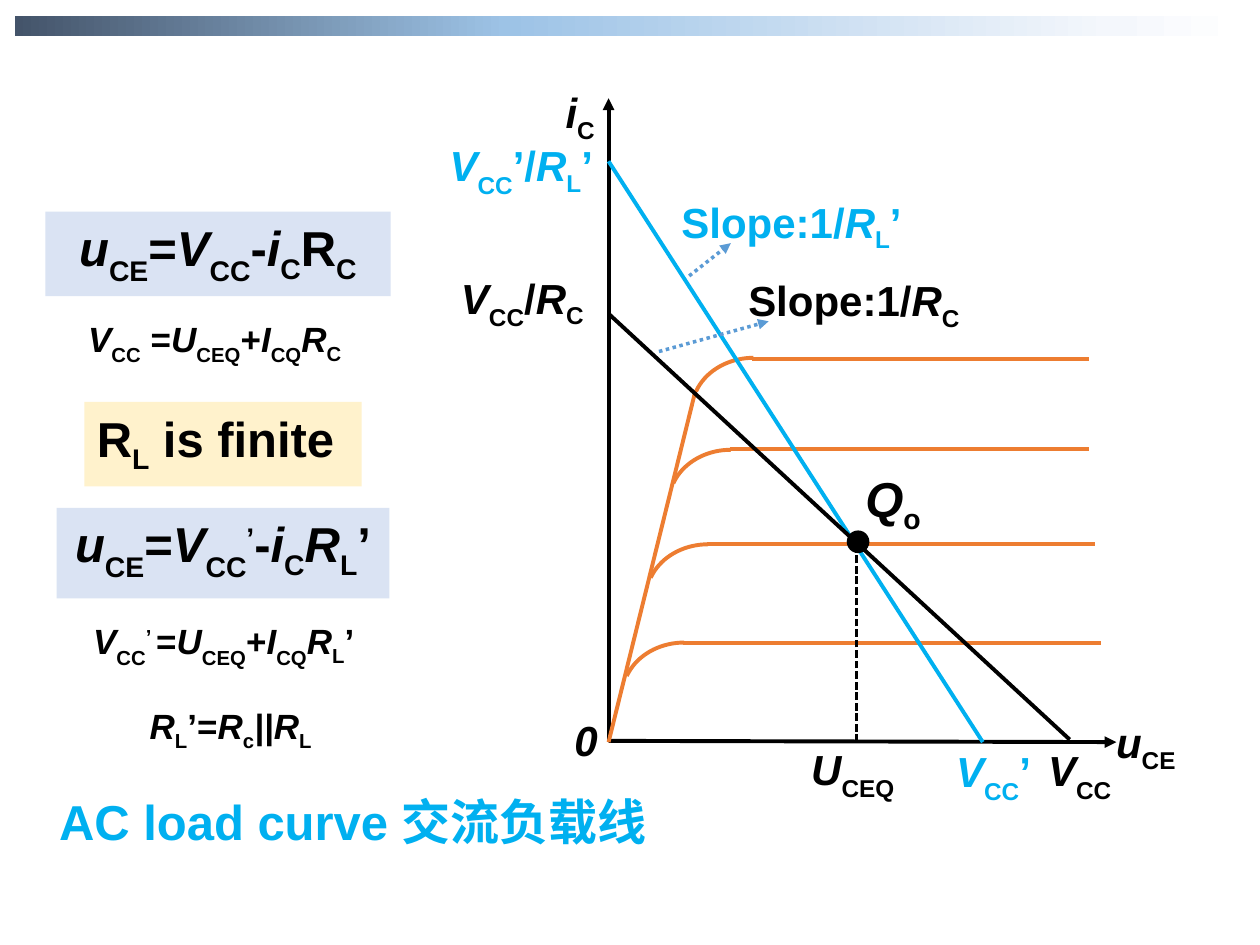
from typing import NamedTuple, Optional

from lxml import etree
from pptx import Presentation
from pptx.dml.color import RGBColor
from pptx.enum.dml import MSO_LINE_DASH_STYLE as Dash
from pptx.enum.shapes import MSO_CONNECTOR, MSO_SHAPE
from pptx.enum.text import MSO_AUTO_SIZE, PP_ALIGN
from pptx.oxml.ns import qn
from pptx.util import Inches, Pt

BLACK = RGBColor(0x00, 0x00, 0x00)
CYAN = RGBColor(0x00, 0xB0, 0xF0)
ORANGE = RGBColor(0xED, 0x7D, 0x31)
BLUE = RGBColor(0x5B, 0x9B, 0xD5)
PALE_BLUE = RGBColor(0xDA, 0xE3, 0xF3)
PALE_YELLOW = RGBColor(0xFF, 0xF2, 0xCC)
BAR_STOPS = [(0, "44546A"), (40, "9DC3E6"), (89, "F4F7FC"), (100, "FFFFFF")]

LATIN = "Arial"
CHINESE = "Noto Sans CJK SC"
ORIGIN_X, AXIS_Y = 4.83, 5.89


class Span(NamedTuple):
    text: str
    italic: bool = False
    baseline: int = 0
    font: str = LATIN


class Label(NamedTuple):
    left: float
    top: float
    width: float
    height: float
    spans: list[Span]
    size: int = 24
    color: RGBColor = BLACK
    fill: Optional[RGBColor] = None
    centered: bool = False
    wrap: bool = True


class Line(NamedTuple):
    start: tuple[float, float]
    end: tuple[float, float]
    color: RGBColor = BLACK
    width: float = 2.25
    dash: Optional[Dash] = None
    arrow: bool = False


class Curve(NamedTuple):
    left: float
    arc_top: float
    line_y: float
    line_end: float


def var(text: str) -> Span:
    return Span(text, italic=True)


def sub(text: str, baseline: int = -25) -> Span:
    return Span(text, baseline=baseline)


def low(text: str) -> Span:
    return sub(text, -30)


PRIME = Span("’")
RAISED_PRIME = Span("’", baseline=30)
U_CE = [var("u"), low("CE")]
V_CC = [var("V"), low("CC")]
I_C = [var("i"), sub("C")]
R_C = [var("R"), sub("C")]
R_L = [var("R"), sub("L")]
Q_POINT_SUM = [Span("="), var("U"), low("CEQ"), Span("+"), var("I"), low("CQ")]

LABELS = [
    # Equations
    Label(0.36, 1.68, 2.74, 0.67,
          [*U_CE, Span("="), *V_CC, Span("-"), *I_C, Span("R"), sub("C")],
          28, fill=PALE_BLUE, centered=True),
    Label(0.6, 2.47, 2.35, 0.52, [*V_CC, Span(" "), *Q_POINT_SUM, *R_C], 20),
    Label(0.67, 3.19, 2.2, 0.67, [Span("R"), sub("L"), Span(" is finite")], 28,
          fill=PALE_YELLOW),
    Label(0.45, 4.03, 2.64, 0.72,
          [*U_CE, Span("="), *V_CC, RAISED_PRIME, Span("-"), *I_C, *R_L, PRIME],
          28, fill=PALE_BLUE, centered=True),
    Label(0.64, 4.87, 2.4, 0.56,
          [*V_CC, Span("’ ", baseline=30), *Q_POINT_SUM, *R_L, PRIME], 20),
    Label(1, 5.54, 1.66, 0.43,
          [*R_L, Span("’="), var("R"), sub("c"), var("||R"), sub("L")],
          20, centered=True, wrap=False),
    # Axis labels
    Label(4.39, 0.64, 0.55, 0.59, I_C),
    Label(8.76, 5.64, 0.83, 0.59, [var("u"), sub("CE")]),
    Label(4.46, 5.62, 0.55, 0.5, [var("0")]),
    # Intercepts, operating point and slopes
    Label(3.47, 1.06, 1.38, 0.59, [*V_CC, Span("’/"), *R_L, PRIME], color=CYAN),
    Label(3.56, 2.11, 1.38, 0.59, [*V_CC, Span("/"), *R_C]),
    Label(6.34, 5.85, 1.06, 0.49, [var("U"), low("CEQ")], wrap=False),
    Label(7.49, 5.87, 0.94, 0.49, [*V_CC, PRIME], color=CYAN, wrap=False),
    Label(8.22, 5.86, 0.84, 0.49, V_CC, wrap=False),
    Label(6.77, 3.67, 0.67, 0.67, [var("Q"), sub("o")], 28),
    Label(5.31, 1.51, 2.21, 0.59, [Span("Slope:1/"), *R_L, PRIME], color=CYAN),
    Label(5.84, 2.13, 2.21, 0.59, [Span("Slope:1/"), *R_C]),
    # Caption
    Label(0.33, 6.23, 4.94, 0.57,
          [Span("AC load curve "), Span("交流负载线", font=CHINESE)],
          28, CYAN, centered=True),
]

AXES = [
    Line((ORIGIN_X, 5.88), (ORIGIN_X, 0.78), arrow=True),
    Line((ORIGIN_X, 5.88), (8.86, AXIS_Y), arrow=True),
]
SATURATION_LINE = Line((ORIGIN_X, AXIS_Y), (5.52, 3.1), ORANGE)
CURVES = [
    Curve(5.49, 2.84, 2.85, 8.64),
    Curve(5.31, 3.57, 3.56, 8.64),
    Curve(5.13, 4.32, 4.32, 8.69),
    Curve(4.94, 5.1, 5.1, 8.74),
]
LOAD_LINES = [
    Line((ORIGIN_X, 1.28), (7.8, AXIS_Y), CYAN),
    Line((6.8, AXIS_Y), (6.8, 4.32), width=1.5, dash=Dash.SQUARE_DOT),
    Line((ORIGIN_X, 2.49), (8.49, 5.87)),
]
SLOPE_POINTERS = [
    Line((5.47, 2.19), (5.8, 1.93), BLUE, 2, Dash.ROUND_DOT, True),
    Line((5.23, 2.79), (6.1, 2.55), BLUE, 2, Dash.ROUND_DOT, True),
]


def add_line(slide, line: Line) -> None:
    connector = slide.shapes.add_connector(
        MSO_CONNECTOR.STRAIGHT, *(Inches(value) for value in line.start + line.end))
    connector.line.color.rgb = line.color
    connector.line.width = Pt(line.width)
    if line.dash is not None:
        connector.line.dash_style = line.dash
    if line.arrow:
        etree.SubElement(connector.line._get_or_add_ln(), qn("a:tailEnd"), type="triangle")
    etree.SubElement(connector._element.spPr, qn("a:effectLst"))


def add_preset(slide, kind: MSO_SHAPE, left: float, top: float,
               width: float, height: float):
    shape = slide.shapes.add_shape(
        kind, Inches(left), Inches(top), Inches(width), Inches(height))
    shape.shadow.inherit = False
    return shape


def add_gradient_bar(slide) -> None:
    bar = add_preset(slide, MSO_SHAPE.RECTANGLE, 0.12, 0.13, 9.76, 0.16)
    bar.line.fill.background()
    bar.fill.gradient()
    bar.fill.gradient_angle = 0
    stops = bar._element.spPr.find(".//" + qn("a:gsLst"))
    for stop in list(stops):
        stops.remove(stop)
    for percent, color in BAR_STOPS:
        stop = etree.SubElement(stops, qn("a:gs"), pos=str(percent * 1000))
        etree.SubElement(stop, qn("a:srgbClr"), val=color)


def add_curve(slide, curve: Curve) -> None:
    arc = add_preset(slide, MSO_SHAPE.ARC, curve.left, curve.arc_top, 0.98, 0.84)
    arc.adjustments[0] = 162
    arc.adjustments[1] = 204.75
    arc._element.spPr.find(qn("a:xfrm")).set("flipH", "1")
    arc.fill.background()
    arc.line.color.rgb = ORANGE
    arc.line.width = Pt(2.25)
    add_line(slide, Line((curve.left + 0.48, curve.line_y),
                         (curve.line_end, curve.line_y), ORANGE))


def add_label(slide, label: Label) -> None:
    box = slide.shapes.add_textbox(Inches(label.left), Inches(label.top),
                                   Inches(label.width), Inches(label.height))
    if label.fill is not None:
        box.fill.solid()
        box.fill.fore_color.rgb = label.fill
    box.text_frame.word_wrap = label.wrap
    box.text_frame.auto_size = MSO_AUTO_SIZE.SHAPE_TO_FIT_TEXT
    paragraph = box.text_frame.paragraphs[0]
    paragraph.alignment = PP_ALIGN.CENTER if label.centered else PP_ALIGN.LEFT
    for span in label.spans:
        run = paragraph.add_run()
        run.text = span.text
        font = run.font
        font.name, font.size, font.bold = span.font, Pt(label.size), True
        font.italic = span.italic
        font.color.rgb = label.color
        properties = run._r.get_or_add_rPr()
        if span.baseline:
            properties.set("baseline", str(span.baseline * 1000))
        if span.font == CHINESE:
            etree.SubElement(properties, qn("a:ea"), typeface=CHINESE)


def main() -> None:
    presentation = Presentation()
    presentation.slide_width, presentation.slide_height = Inches(10), Inches(7.5)
    slide = presentation.slides.add_slide(presentation.slide_layouts[6])
    add_gradient_bar(slide)
    # Output characteristics
    for line in [*AXES, SATURATION_LINE]:
        add_line(slide, line)
    for curve in CURVES:
        add_curve(slide, curve)
    # Load lines and operating point
    for line in LOAD_LINES + SLOPE_POINTERS:
        add_line(slide, line)
    dot = add_preset(slide, MSO_SHAPE.OVAL, 6.72, 4.21, 0.18, 0.18)
    dot.fill.solid()
    dot.fill.fore_color.rgb = BLACK
    dot.line.fill.background()
    for label in LABELS:
        add_label(slide, label)
    presentation.save("out.pptx")


if __name__ == "__main__":
    main()
